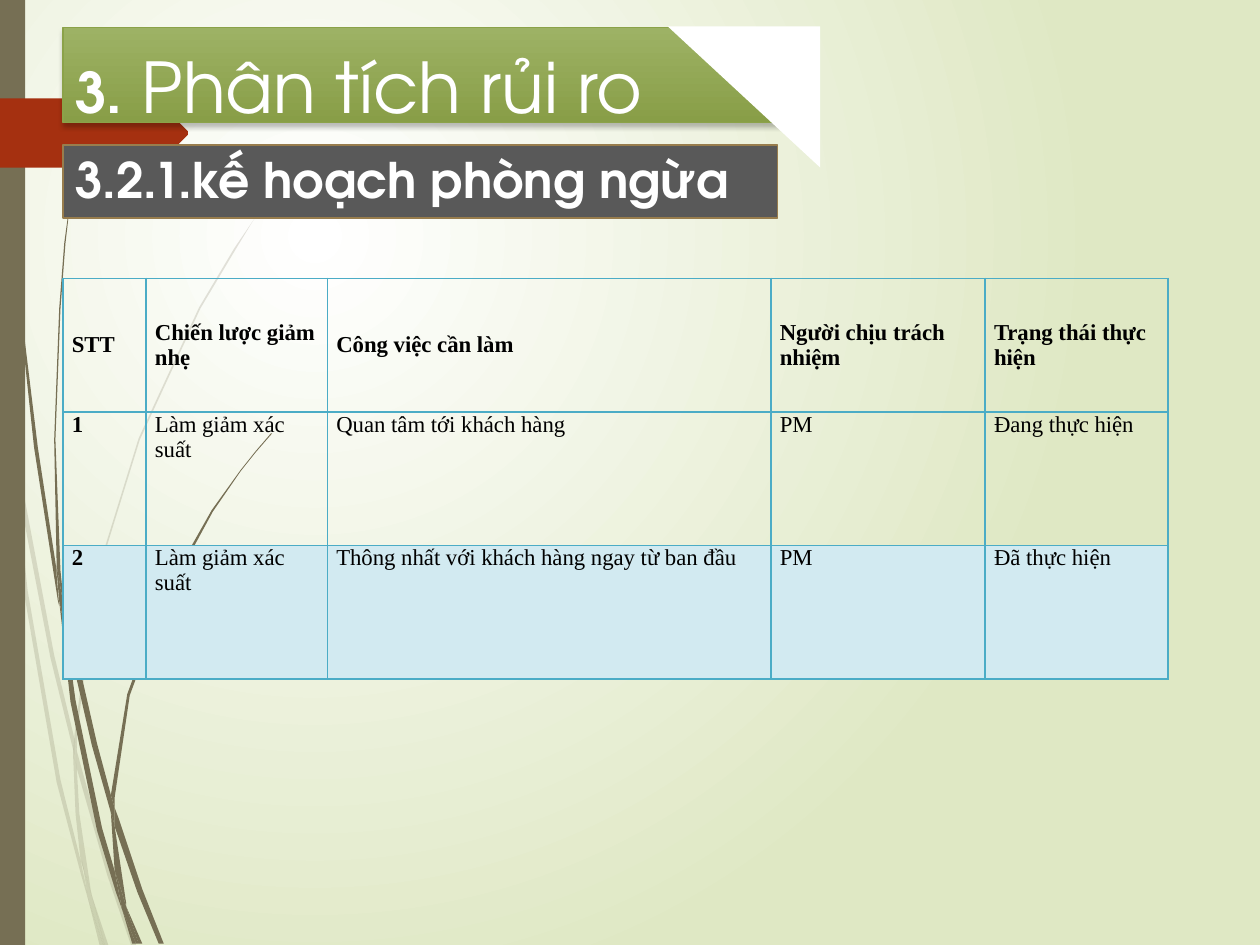
from lxml import etree
from pptx import Presentation
from pptx.dml.color import RGBColor
from pptx.enum.shapes import MSO_SHAPE
from pptx.enum.text import MSO_ANCHOR, PP_ALIGN
from pptx.oxml import parse_xml
from pptx.oxml.ns import nsdecls, qn
from pptx.util import Inches, Pt

RECTANGLE = MSO_SHAPE.RECTANGLE
TRIANGLE = MSO_SHAPE.RIGHT_TRIANGLE
MIDDLE, TOP = MSO_ANCHOR.MIDDLE, MSO_ANCHOR.TOP
LEFT = PP_ALIGN.LEFT

COLORS = {
    "white": "FFFFFF", "black": "000000", "page_edge": "DFE8C4",
    "bark": "766F54", "rust": "A53010",
    "green_light": "9DB265", "green_dark": "889E47", "green_line": "8BA249",
    "slate": "595959", "gold_line": "987D4D",
    "grid": "4BACC6", "band": "D2EAF1",
}
HEADING_FONT = "TeX Gyre Adventor"
TABLE_FONT = "Times New Roman"

# Outlines of the grass blades, in inches
PALE_BLADES = [
    [(.08, 3.5), (.06, 3.22), (0, 2.82), (0, 2.99), (.07, 3.44)],
    [(.4, 5.22), (.59, 5.99), (.59, 5.86), (.43, 5.2), (.1, 3.45), (.12, 3.76)],
    [(.64, 6.07), (.61, 5.96), (.61, 6.1), (.85, 6.94), (1.04, 7.5), (1.08, 7.5),
     (.88, 6.92)],
    [(.83, 7.5), (.86, 7.5), (.73, 7.11)],
    [(.64, 6.83), (.48, 6.19), (.22, 4.69), (.12, 3.76), (.08, 3.5), (.19, 4.7),
     (.45, 6.21), (.64, 6.93), (.7, 7.14), (.69, 7.07)],
    [(.58, 5.99), (.6, 6.46), (.64, 6.83), (.67, 6.92), (.73, 7.11), (.72, 7.06),
     (.63, 6.46), (.61, 6.1), (.61, 6.08)],
    [(.61, 5.84), (.76, 4.62), (1.11, 3.49), (1.59, 2.45), (1.87, 1.98),
     (2.01, 1.75), (2.17, 1.54), (2.17, 1.53), (2.01, 1.75), (1.86, 1.97),
     (1.58, 2.44), (1.1, 3.48), (.75, 4.61), (.59, 5.84), (.59, 5.86), (.61, 5.96)],
    [(.7, 7.14), (.79, 7.5), (.82, 7.5)],
    [(.61, 6.08), (.61, 6.1), (.61, 5.96), (.59, 5.86), (.58, 5.99)],
    [(.67, 6.92), (.65, 6.83), (.69, 7.07), (.7, 7.14), (.82, 7.5), (.83, 7.5),
     (.73, 7.11)],
]
DARK_BLADES = [
    [(.05, 1.1), (.14, 2.33), (.27, 3.55), (.46, 4.77), (.47, 4.81), (.45, 4.57),
     (.45, 4.53), (.3, 3.55), (.15, 2.32), (.06, 1.09), (.04, .48), (.03, 0),
     (.02, 0), (.03, .48)],
    [(.73, 5.92), (.88, 6.45), (.88, 6.33), (.88, 6.31), (.77, 5.9), (.5, 4.72),
     (.53, 5.05)],
    [(.94, 6.49), (.91, 6.41), (.91, 6.56), (1.09, 7.08), (1.26, 7.49),
     (1.3, 7.49), (1.13, 7.06)],
    [(.91, 6.91), (.81, 6.57), (.6, 5.56), (.53, 5.05), (.47, 4.77), (.56, 5.57),
     (.77, 6.59), (.92, 7.08), (.97, 7.22), (.96, 7.17)],
    [(.5, 4.72), (.48, 4.53), (.44, 3.49), (.48, 2.45), (.52, 1.93), (.58, 1.41),
     (.51, 1.93), (.47, 2.45), (.43, 3.49), (.45, 4.49), (.49, 4.72)],
    [(1.1, 7.49), (1.13, 7.49), (1, 7.19)],
    [(.47, 4.77), (.53, 5.05), (.5, 4.72), (.49, 4.72), (.45, 4.49), (.45, 4.53)],
    [(.91, 6.33), (1.03, 5.52), (1.31, 4.76), (1.69, 4.06), (1.91, 3.74),
     (2.03, 3.59), (2.16, 3.44), (2.15, 3.44), (2.03, 3.58), (1.91, 3.73),
     (1.68, 4.05), (1.29, 4.74), (1.01, 5.51), (.88, 6.31), (.91, 6.41)],
    [(.97, 7.22), (1.05, 7.49), (1.08, 7.49)],
    [(.88, 6.45), (.91, 6.91), (.96, 7.06), (1, 7.19), (1, 7.16), (.91, 6.56),
     (.9, 6.51)],
    [(.88, 6.45), (.9, 6.51), (.91, 6.56), (.91, 6.41), (.88, 6.31), (.88, 6.33)],
    [(.96, 7.06), (.91, 6.91), (.96, 7.17), (.97, 7.22), (1.08, 7.49),
     (1.1, 7.49), (1, 7.19)],
]
RIBBON = [(0, .78), (1.21, .78), (1.24, .79), (1.49, 1.04), (1.49, 1.07),
          (1.24, 1.32), (1.21, 1.33), (0, 1.33)]

COLUMN_WIDTHS = [.66, 1.44, 3.52, 1.7, 1.45]
ROW_HEIGHT = 1.06
ROWS = [
    ["STT", "Chiến lược giảm nhẹ", "Công việc cần làm", "Người chịu trách nhiệm",
     "Trạng thái thực hiện"],
    ["1", "Làm giảm xác suất", "Quan tâm tới khách hàng", "PM", "Đang thực hiện"],
    ["2", "Làm giảm xác suất", "Thông nhất với khách hàng ngay từ ban đầu", "PM",
     "Đã thực hiện"],
]


def rgb(name):
    return RGBColor.from_string(COLORS[name])


def style_gradient(fill, first, last):
    fill.gradient()
    for stop, name, position in zip(fill.gradient_stops, (first, last), (0, 1)):
        stop.color.rgb = rgb(name)
        stop.position = position


def paint_background(page):
    style_gradient(page.background.fill, "white", "page_edge")
    gradient = page.element.xpath(".//p:bg//a:gradFill")[0]
    gradient.remove(gradient.find(qn("a:lin")))
    gradient.append(parse_xml(
        f'<a:path {nsdecls("a")} path="circle"><a:fillToRect l="50000" t="50000" '
        'r="100000" b="100000"/></a:path>'))


def style_shape(shape, color, line=None):
    shape.shadow.inherit = False
    shape.fill.solid()
    shape.fill.fore_color.rgb = rgb(color)
    if line:
        shape.line.color.rgb = rgb(line)
        shape.line.width = Pt(.75)
    else:
        shape.line.fill.background()


def add_outline(shapes, points, color, opacity=100):
    corners = [(Inches(x), Inches(y)) for x, y in points]
    builder = shapes.build_freeform(*corners[0])
    builder.add_line_segments(corners[1:], close=True)
    shape = builder.convert_to_shape()
    style_shape(shape, color)
    if opacity < 100:
        tint = shape.fill._xPr.find(f'{qn("a:solidFill")}/{qn("a:srgbClr")}')
        etree.SubElement(tint, qn("a:alpha"), val=str(opacity * 1000))


def add_preset(page, kind, bounds, color, line=None):
    shape = page.shapes.add_shape(kind, *map(Inches, bounds))
    style_shape(shape, color, line)
    return shape


def add_soft_shadow(shape):
    effects = shape._element.spPr.find(qn("a:effectLst"))
    effects.append(parse_xml(
        f'<a:outerShdw {nsdecls("a")} blurRad="38100" dist="25400" dir="5400000" '
        'rotWithShape="0"><a:srgbClr val="000000"><a:alpha val="25000"/></a:srgbClr>'
        '</a:outerShdw>'))


def write_heading(shape, spans, top=.05, bottom=.05):
    frame = shape.text_frame
    frame.word_wrap = True
    frame.vertical_anchor = MIDDLE
    frame.margin_top, frame.margin_bottom = Inches(top), Inches(bottom)
    para = frame.paragraphs[0]
    para.alignment = LEFT
    for text, size, bold in spans:
        span = para.add_run()
        span.text = text
        style_font(span.font, HEADING_FONT, size, bold, "white")


def style_font(font, name, size, bold, color):
    font.name, font.size, font.bold = name, Pt(size), bold
    font.color.rgb = rgb(color)


def add_borders(cell):
    properties = cell._tc.get_or_add_tcPr()
    for index, side in enumerate(("lnL", "lnR", "lnT", "lnB")):
        properties.insert(index, parse_xml(
            f'<a:{side} {nsdecls("a")} w="12700"><a:solidFill>'
            f'<a:srgbClr val="{COLORS["grid"]}"/></a:solidFill></a:{side}>'))


def fill_cell(cell, text, header, bold, banded):
    cell.text_frame.text = text
    cell.vertical_anchor = MIDDLE if header else TOP
    cell.margin_left = cell.margin_right = Inches(.07)
    cell.margin_top = cell.margin_bottom = 0
    style_font(cell.text_frame.paragraphs[0].runs[0].font, TABLE_FONT, 13, bold, "black")
    if banded:
        cell.fill.solid()
        cell.fill.fore_color.rgb = rgb("band")
    else:
        cell.fill.background()
    add_borders(cell)


def add_plan_table(page):
    bounds = (.5, 2.21, sum(COLUMN_WIDTHS), ROW_HEIGHT * len(ROWS))
    table = page.shapes.add_table(
        len(ROWS), len(COLUMN_WIDTHS), *map(Inches, bounds)).table
    table.first_row = table.horz_banding = False
    for column, width in zip(table.columns, COLUMN_WIDTHS):
        column.width = Inches(width)
    for r, texts in enumerate(ROWS):
        table.rows[r].height = Inches(ROW_HEIGHT)
        for c, text in enumerate(texts):
            fill_cell(table.cell(r, c), text, r == 0, r == 0 or c == 0, r == 2)


def main():
    deck = Presentation()
    deck.slide_width, deck.slide_height = Inches(10), Inches(7.5)
    page = deck.slides.add_slide(deck.slide_layouts[6])

    # Backdrop
    paint_background(page)
    for blades, opacity in ((PALE_BLADES, 20), (DARK_BLADES, 100)):
        group = page.shapes.add_group_shape()
        for points in blades:
            add_outline(group.shapes, points, "bark", opacity)
    add_preset(page, RECTANGLE, (0, 0, .2, 7.5), "bark")
    add_outline(page.shapes, RIBBON, "rust")

    # Headings
    banner = add_preset(page, RECTANGLE, (.5, .22, 5.92, .75), "green_dark", "green_line")
    style_gradient(banner.fill, "green_light", "green_dark")
    banner.fill.gradient_angle = 270
    add_soft_shadow(banner)
    write_heading(banner, [("3.", 32, True), (" Phân tích rủi ro", 40, False)], top=.22)
    subtitle = add_preset(page, RECTANGLE, (.5, 1.15, 5.67, .58), "slate", "gold_line")
    write_heading(subtitle, [("3.2.1.kế hoạch phòng ngừa", 28, True)], bottom=.09)
    corner = add_preset(page, TRIANGLE, (5.3, .21, 1.21, 1.12), "white")
    corner.rotation = 180

    # Prevention plan
    add_plan_table(page)
    deck.save("out.pptx")


if __name__ == "__main__":
    main()
